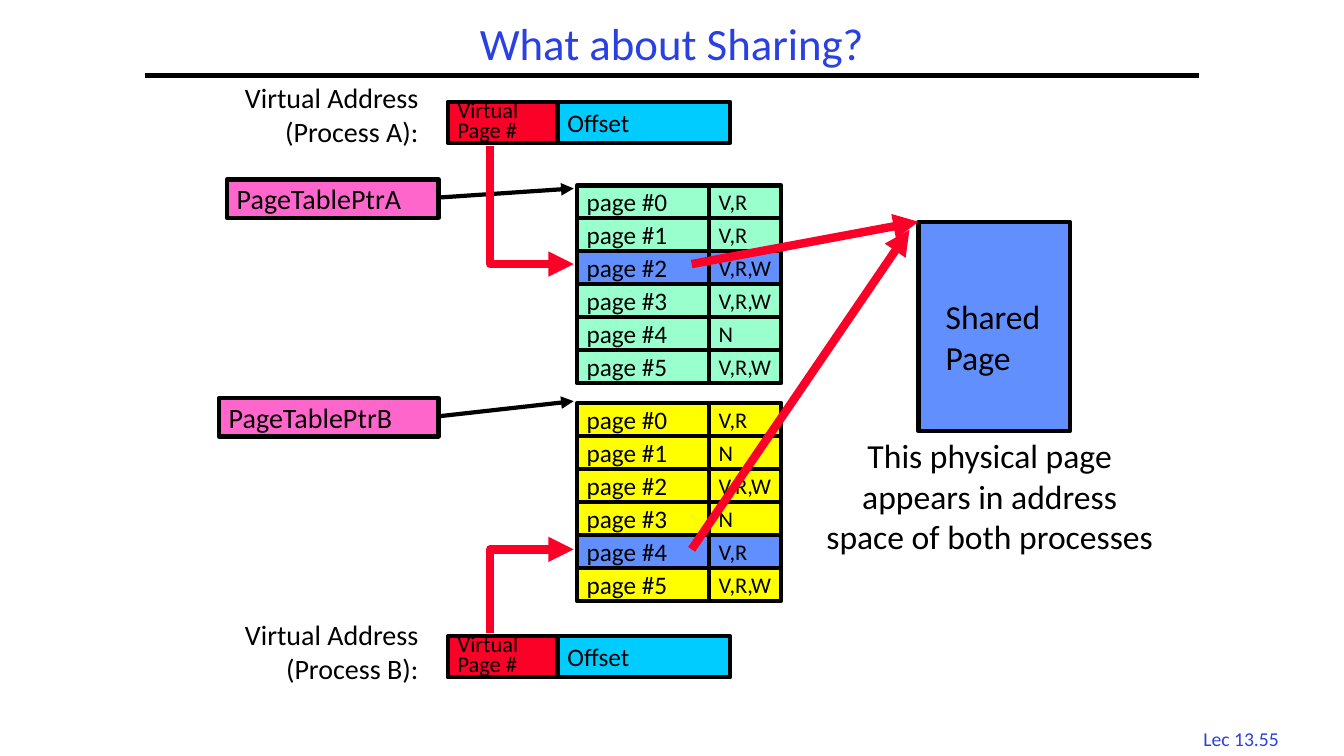
import pptx
import pptx.dml.color
import pptx.enum.shapes
import pptx.enum.text
import pptx.oxml
import pptx.oxml.ns
import pptx.util

Inches = pptx.util.Inches
Align = pptx.enum.text.PP_ALIGN
Anchor = pptx.enum.text.MSO_ANCHOR

COLORS = {
    "black": "000000",
    "title": "2A40E2",
    "pointer": "FF66CC",
    "number": "FC0128",
    "offset": "00CCFF",
    "shared": "618FFD",
    "process_a": "99FFCC",
    "process_b": "FFFF00",
}


def rgb(name):
    """Return the named palette colour."""
    return pptx.dml.color.RGBColor.from_string(COLORS[name])


def write(shape, text, size=18, color="black", align=Align.LEFT,
          anchor=Anchor.MIDDLE, spacing=None, wrap=False):
    """Write lines of text into a shape, one paragraph for each line."""
    frame = shape.text_frame
    frame.word_wrap = wrap
    frame.vertical_anchor = anchor
    for index, line in enumerate(text.split("\n")):
        para = frame.add_paragraph() if index else frame.paragraphs[0]
        para.alignment = align
        if spacing:
            para.line_spacing = spacing
        span = para.add_run()
        span.text = line
        span.font.name = "Calibri"
        span.font.size = pptx.util.Pt(size)
        span.font.color.rgb = rgb(color)


def add_label(page, box, text, **formatting):
    """Add a text box that holds the given text."""
    shape = page.shapes.add_textbox(*map(Inches, box))
    write(shape, text, **{"anchor": Anchor.TOP, **formatting})


def add_block(page, box, fill, text="", **formatting):
    """Add a filled rectangle with a black outline and optional text."""
    shape = page.shapes.add_shape(
        pptx.enum.shapes.MSO_SHAPE.RECTANGLE, *map(Inches, box))
    shape.shadow.inherit = False
    shape.fill.solid()
    shape.fill.fore_color.rgb = rgb(fill)
    style_line(shape)
    if text:
        write(shape, text, **formatting)


def style_line(shape, color="black", width=3, arrow=False):
    """Set colour and width of an outline, with an arrowhead if asked."""
    shape.line.color.rgb = rgb(color)
    shape.line.width = pptx.util.Pt(width)
    if arrow:
        outline = shape.line._get_or_add_ln()
        head = pptx.oxml.parse_xml(
            "<a:tailEnd %s type='triangle'/>" % pptx.oxml.ns.nsdecls("a"))
        outline.append(head)


def add_line(page, start, end, **formatting):
    """Add a straight line without a shadow."""
    line = page.shapes.add_connector(
        pptx.enum.shapes.MSO_CONNECTOR.STRAIGHT, *map(Inches, start + end))
    style_line(line, **formatting)
    line._element.spPr.append(pptx.oxml.parse_xml(
        "<a:effectLst %s/>" % pptx.oxml.ns.nsdecls("a")))


def add_elbow(page, start, end):
    """Add a red arrow that runs vertically, then horizontally."""
    builder = page.shapes.build_freeform(
        Inches(start[0]), Inches(start[1]), scale=1.0)
    corner = (start[0], end[1])
    builder.add_line_segments(
        [tuple(map(Inches, point)) for point in (corner, end)], close=False)
    elbow = builder.convert_to_shape()
    elbow.shadow.inherit = False
    elbow.fill.background()
    style_line(elbow, "number", 6, arrow=True)


def add_header(page, box):
    """Place the title and the rule along its lower edge."""
    left, top, width, height = box
    add_label(page, box, "What about Sharing?", size=32, color="title",
              align=Align.CENTER, anchor=Anchor.MIDDLE, spacing=0.9, wrap=True)
    add_line(page, (left, top + height), (left + width, top + height))


def add_address(page, box, process, label_rise):
    """Place a virtual address with its label on the left."""
    left, top, width, height = box
    number = 1.09
    add_block(page, (left + number, top, width - number, height),
              "offset", "Offset")
    add_block(page, (left, top, number, height), "number",
              "Virtual\nPage #", size=16, spacing=0.75)
    add_label(page, (left - 2.27, top - label_rise, 2.08, 0.77),
              f"Virtual Address\n(Process {process}):",
              size=20, align=Align.RIGHT)


def add_pointer(page, box, process, target):
    """Place a page table pointer and its arrow to the table."""
    left, top, width, height = box
    add_block(page, box, "pointer", f"PageTablePtr{process}", size=20)
    add_line(page, (left + width, top + 0.18), target, arrow=True)


def add_page_table(page, box, flags, fill, shared):
    """Place a page table, with the shared entry highlighted."""
    left, top, width, height = box
    name_width = 1.31
    row_height = height / len(flags)
    for row, flag in enumerate(flags):
        color = "shared" if row == shared else fill
        row_top = top + row * row_height
        add_block(page, (left, row_top, name_width, row_height),
                  color, f"page #{row}")
        add_block(page, (left + name_width, row_top,
                         width - name_width, row_height),
                  color, flag, size=16)


def add_shared_page(page, box):
    """Place the shared physical page and its caption."""
    left, top, width, height = box
    add_block(page, box, "shared")
    add_label(page, (left + 0.17, top + 0.69, 1.29, 0.91),
              "Shared\nPage", size=24)
    add_label(page, (left - 1.22, top + height - 0.01, 3.85, 1.31),
              "This physical page\nappears in address\nspace of both processes",
              size=24, align=Align.CENTER)


def main():
    """Build the slide and save it."""
    deck = pptx.Presentation()
    deck.slide_width = Inches(13.33)
    deck.slide_height = Inches(7.5)
    page = deck.slides.add_slide(deck.slide_layouts[6])

    add_header(page, (1.44, 0.17, 10.45, 0.58))
    add_label(page, (11.77, 7.16, 1.08, 0.33), "Lec 13.55", size=14,
              color="title", align=Align.CENTER)

    add_address(page, (4.44, 1.01, 2.8, 0.41), "A", 0.26)
    add_address(page, (4.44, 6.31, 2.8, 0.41), "B", 0.23)
    add_pointer(page, (2.25, 1.78, 2.1, 0.38), "A", (5.69, 1.87))
    add_pointer(page, (2.17, 3.95, 2.18, 0.38), "B", (5.69, 3.98))
    add_page_table(page, (5.72, 1.84, 2.03, 1.96),
                   ["V,R", "V,R", "V,R,W", "V,R,W", "N", "V,R,W"],
                   "process_a", shared=2)
    add_page_table(page, (5.72, 4, 2.03, 1.96),
                   ["V,R", "N", "V,R,W", "N", "V,R", "V,R,W"],
                   "process_b", shared=4)
    add_shared_page(page, (9.11, 2.2, 1.5, 2.08))

    for start, entry_height, target in (
            (1.45, 2.62, (9.11, 2.2)), (6.28, 5.45, (9.02, 2.28))):
        add_elbow(page, (4.86, start), (5.69, entry_height))
        add_line(page, (6.86, entry_height), target,
                 color="number", width=6, arrow=True)

    deck.save("out.pptx")


if __name__ == "__main__":
    main()
